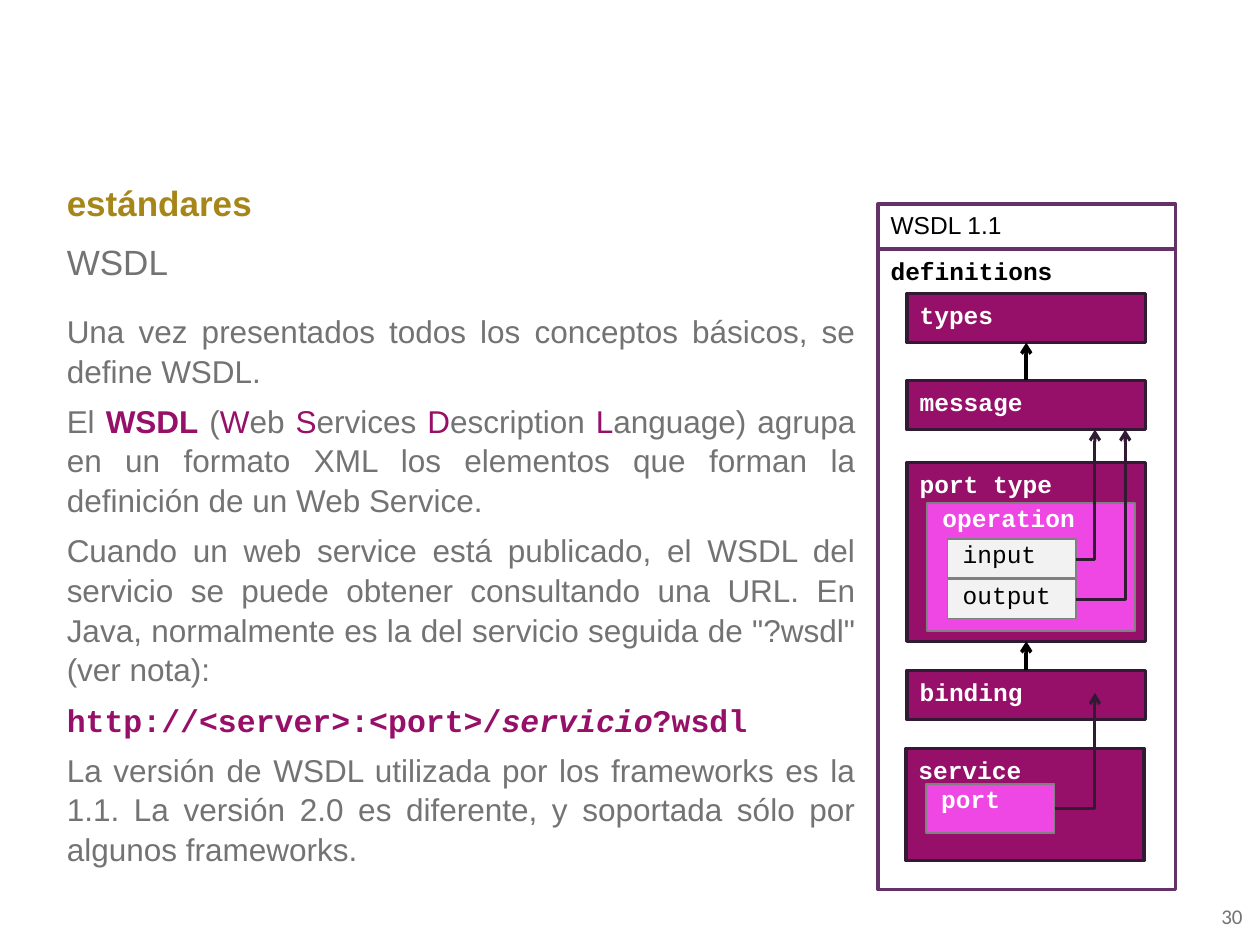
from dataclasses import dataclass

from lxml import etree
from pptx import Presentation
from pptx.dml.color import RGBColor
from pptx.enum.shapes import MSO_CONNECTOR, MSO_SHAPE
from pptx.enum.text import MSO_ANCHOR, MSO_AUTO_SIZE, PP_ALIGN
from pptx.oxml.ns import qn
from pptx.util import Inches, Pt

RECTANGLE = MSO_SHAPE.RECTANGLE
STRAIGHT, ELBOW = MSO_CONNECTOR.STRAIGHT, MSO_CONNECTOR.ELBOW
TOP, MIDDLE = MSO_ANCHOR.TOP, MSO_ANCHOR.MIDDLE
LEFT, RIGHT, JUSTIFY = PP_ALIGN.LEFT, PP_ALIGN.RIGHT, PP_ALIGN.JUSTIFY
NO_AUTOFIT = MSO_AUTO_SIZE.NONE
TOP_SIDE, BOTTOM_SIDE = 0, 2
TWO_CONTENT_LAYOUT = 3


@dataclass(frozen=True)
class Theme:
    sans: str = "Arial"
    mono: str = "Courier New"
    number_font: str = "Calibri"
    heading_size: int = 20
    body_size: int = 18
    label_size: int = 14
    number_size: int = 12
    gold: str = "A68619"
    gray: str = "737373"
    purple: str = "960F68"
    frame: str = "643269"
    dark: str = "321934"
    pink: str = "EF47E3"
    light: str = "F2F2F2"
    inner_line: str = "808080"
    black: str = "000000"
    white: str = "FFFFFF"


THEME = Theme()

# Each paragraph is a list of (text, style) runs.
BODY = [
    [("Una vez presentados todos los conceptos básicos, se define WSDL.", "")],
    [("El ", ""), ("WSDL", "strong"), (" (", ""), ("W", "accent"), ("eb ", ""),
     ("S", "accent"), ("ervices ", ""), ("D", "accent"), ("escription ", ""),
     ("L", "accent"),
     ("anguage) agrupa en un formato XML los elementos que forman la "
      "definición de un Web Service.", "")],
    [("Cuando un web service está publicado, el WSDL del servicio se puede "
      "obtener consultando una URL. En Java, normalmente es la del servicio "
      "seguida de \"?wsdl\" (ver nota):", "")],
    [("http://<server>:<port>/", "code"), ("servicio", "code italic"),
     ("?wsdl", "code")],
    [("La versión de WSDL utilizada por los frameworks es la 1.1. La versión "
      "2.0 es diferente, y soportada sólo por algunos frameworks.", "")],
]


def set_font(font, name, size, color, bold=False):
    font.name, font.size, font.bold = name, Pt(size), bold
    font.color.rgb = RGBColor.from_string(color)


def place(shape, left, top, width, height, anchor=TOP):
    shape.left, shape.top = Inches(left), Inches(top)
    shape.width, shape.height = Inches(width), Inches(height)
    frame = shape.text_frame
    frame.word_wrap, frame.auto_size = True, NO_AUTOFIT
    frame.vertical_anchor = anchor
    return frame


def remove_bullet(paragraph):
    properties = paragraph._p.get_or_add_pPr()
    properties.set("marL", "0")
    properties.set("indent", "0")
    etree.SubElement(properties, qn("a:buNone"))


def add_headings(title, subtitle, left, top):
    rows = ((title, "estándares", 0, 8.9, 0.59, THEME.gold, True),
            (subtitle, "WSDL", 0.47, 9.06, 0.47, THEME.gray, False))
    for shape, text, offset, width, height, color, bold in rows:
        frame = place(shape, left, top + offset, width, height)
        frame.text = text
        paragraph = frame.paragraphs[0]
        paragraph.alignment = LEFT
        set_font(paragraph.font, THEME.sans, THEME.heading_size, color, bold)
        remove_bullet(paragraph)


def add_body(shape, left, top, width, height):
    frame = place(shape, left, top, width, height)
    for index, runs in enumerate(BODY):
        paragraph = frame.add_paragraph() if index else frame.paragraphs[0]
        paragraph.alignment = JUSTIFY
        paragraph.space_before = Pt(6)
        paragraph.line_spacing = 1.05
        remove_bullet(paragraph)
        set_font(paragraph.font, THEME.sans, THEME.body_size, THEME.gray)
        for text, style in runs:
            run = paragraph.add_run()
            run.text = text
            if style:
                code = style.startswith("code")
                set_font(run.font, THEME.mono if code else THEME.sans,
                         THEME.body_size, THEME.purple, code or style == "strong")
                run.font.italic = style.endswith("italic")


def add_box(slide, text, box, fill, line, line_width, color,
            font=THEME.mono, bold=True, inner=False):
    shape = slide.shapes.add_shape(RECTANGLE, 0, 0, 0, 0)
    frame = place(shape, *box)
    shape.shadow.inherit = False
    if fill:
        shape.fill.solid()
        shape.fill.fore_color.rgb = RGBColor.from_string(fill)
    else:
        shape.fill.background()
    shape.line.color.rgb = RGBColor.from_string(line)
    shape.line.width = Pt(line_width)
    if inner:
        frame.margin_left = frame.margin_right = Inches(0.12)
        frame.margin_top = frame.margin_bottom = 0
    frame.text = text
    paragraph = frame.paragraphs[0]
    paragraph.alignment = LEFT
    set_font(paragraph.font, font, THEME.label_size, color, bold)
    return shape


def add_arrow(slide, kind, points, color, width):
    connector = slide.shapes.add_connector(kind, *map(Inches, points))
    connector.line.color.rgb = RGBColor.from_string(color)
    connector.line.width = Pt(width)
    etree.SubElement(connector.line._get_or_add_ln(), qn("a:tailEnd"), type="arrow")
    properties = connector._element.spPr
    etree.SubElement(properties, qn("a:effectLst"))
    if kind == ELBOW:  # a single bend: across, then up
        properties.find(qn("a:prstGeom")).set("prst", "bentConnector2")
    return connector


def add_wsdl_diagram(slide, left, top, width, height):
    header = 0.36

    def frame_box(text, offset, box_height, font, bold):
        add_box(slide, text, (left, top + offset, width, box_height), None,
                THEME.frame, 2.25, THEME.black, font, bold)

    def section(text, offset, box_height=0.39, inset=0.23):
        return add_box(slide, text, (left + inset, top + offset, 1.89, box_height),
                       THEME.purple, THEME.dark, 2, THEME.white)

    def part(text, x, y, box_width, box_height, fill=THEME.pink,
             color=THEME.white, bold=True):
        add_box(slide, text, (left + x, top + y, box_width, box_height), fill,
                THEME.inner_line, 1, color, bold=bold, inner=True)

    frame_box("WSDL 1.1", 0, header, THEME.sans, False)
    frame_box("definitions", header, height - header, THEME.mono, True)
    types = section("types", 0.71)
    message = section("message", 1.4)
    port_type = section("port type", 2.05, 1.42)
    binding = section("binding", 3.7)
    section("service", 4.32, 0.89, 0.22)

    part("operation", 0.39, 2.37, 1.65, 1.02)
    for text, offset in (("input", 2.66), ("output", 2.98)):
        part(text, 0.55, offset, 1.02, 0.31, THEME.light, THEME.black, False)
    part("port", 0.38, 4.6, 1.02, 0.39)

    for x, y, end_x, end_y in ((1.57, 2.82, 1.72, 1.79),
                               (1.57, 3.14, 1.96, 1.79),
                               (1.4, 4.8, 1.72, 3.88)):
        add_arrow(slide, ELBOW, (left + x, top + y, left + end_x, top + end_y),
                  THEME.dark, 1.75)
    for source, target in ((binding, port_type), (message, types)):
        arrow = add_arrow(slide, STRAIGHT, (0, 0, 0, 0), THEME.black, 2)
        arrow.begin_connect(source, TOP_SIDE)
        arrow.end_connect(target, BOTTOM_SIDE)


def add_page_number(slide, left, top, width, height):
    shape = slide.shapes.add_textbox(0, 0, 0, 0)
    frame = place(shape, left, top, width, height, MIDDLE)
    frame.text = "30"
    paragraph = frame.paragraphs[0]
    paragraph.alignment = RIGHT
    set_font(paragraph.font, THEME.number_font, THEME.number_size, THEME.gray)


def main():
    presentation = Presentation()
    presentation.slide_width, presentation.slide_height = Inches(10), Inches(7.5)
    slide = presentation.slides.add_slide(
        presentation.slide_layouts[TWO_CONTENT_LAYOUT])
    title, body, subtitle = slide.placeholders
    add_headings(title, subtitle, 0.43, 1.39)
    add_body(body, 0.43, 2.41, 6.46, 4.44)
    add_wsdl_diagram(slide, 6.97, 1.62, 2.36, 5.44)
    add_page_number(slide, 9.24, 7.07, 0.72, 0.4)
    presentation.save("out.pptx")


if __name__ == "__main__":
    main()
